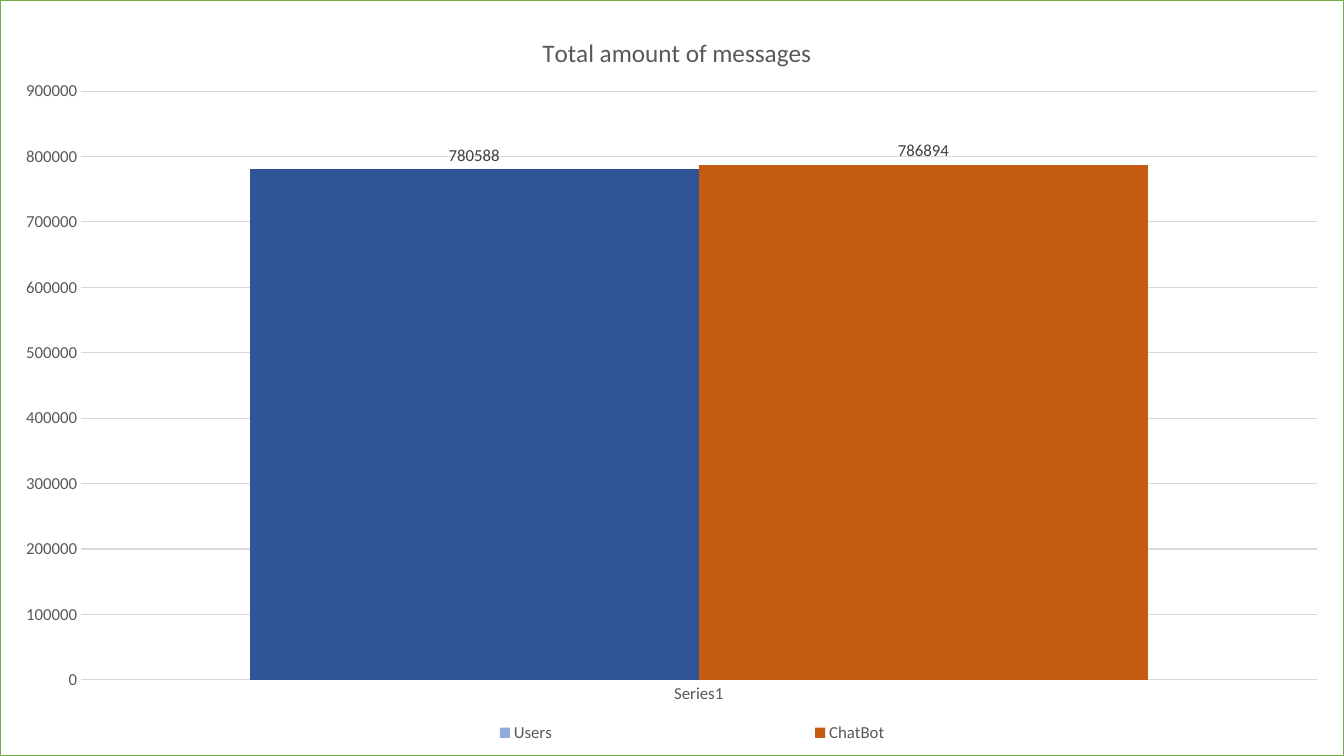
import pptx
import pptx.chart.data
import pptx.dml.color
import pptx.enum.chart
import pptx.oxml
import pptx.oxml.ns
import pptx.util
from dataclasses import dataclass


@dataclass(frozen=True)
class Theme:
    font: str = "Calibri"
    title_size: int = 18
    label_size: int = 12
    hairline: float = 0.75
    paper: str = "FFFFFF"
    border: str = "70AD47"
    grid: str = "D9D9D9"
    muted: str = "595959"
    value: str = "404040"
    users: str = "8FAADC"
    users_bar: str = "2F5597"
    bot: str = "C55A11"


class SlideBuilder:
    def __init__(self, deck, theme):
        self.deck = deck
        self.theme = theme
        self.slide = deck.slides.add_slide(deck.slide_layouts[6])

    def style_font(self, font, size, color):
        font.name = self.theme.font
        font.size = pptx.util.Pt(size)
        font.bold = False
        font.color.rgb = pptx.dml.color.RGBColor.from_string(color)

    def paint(self, fill, color):
        fill.solid()
        fill.fore_color.rgb = pptx.dml.color.RGBColor.from_string(color)

    def style_line(self, line):
        self.paint(line.fill, self.theme.grid)
        line.width = pptx.util.Pt(self.theme.hairline)

    def place(self, chart, part, index, **shares):
        owner = chart._chartSpace.xpath(f"c:chart/{part}")[0]
        for old in owner.xpath("c:layout"):
            owner.remove(old)
        target = '<c:layoutTarget val="inner"/>' if part == "c:plotArea" else ""
        modes = "".join(f'<c:{side}Mode val="edge"/>' for side in "xy")
        values = "".join(f'<c:{key} val="{share}"/>' for key, share in shares.items())
        owner.insert(index, pptx.oxml.parse_xml(
            f'<c:layout {pptx.oxml.ns.nsdecls("c")}><c:manualLayout>'
            f'{target}{modes}{values}</c:manualLayout></c:layout>'))

    def frame(self, chart):
        width = pptx.util.Pt(self.theme.hairline)
        chart._chartSpace.xpath("c:chart")[0].addnext(pptx.oxml.parse_xml(
            f'<c:spPr {pptx.oxml.ns.nsdecls("c", "a")}>'
            f'<a:solidFill><a:srgbClr val="{self.theme.paper}"/></a:solidFill>'
            f'<a:ln w="{width}"><a:solidFill><a:srgbClr val="{self.theme.border}"/>'
            '</a:solidFill></a:ln></c:spPr>'))

    def column_chart(self, left, top, width, height, category, totals):
        data = pptx.chart.data.CategoryChartData(number_format="General")
        data.categories = [category]
        for name, total, *_ in totals:
            data.add_series(name, [total])
        wide, high = self.deck.slide_width, self.deck.slide_height
        chart = self.slide.shapes.add_chart(
            pptx.enum.chart.XL_CHART_TYPE.COLUMN_CLUSTERED,
            int(left * wide), int(top * high), int(width * wide), int(height * high),
            data).chart
        self.style_font(chart.font, self.theme.label_size, self.theme.muted)
        self.frame(chart)
        plot = chart.plots[0]
        plot.gap_width = 75
        plot.overlap = 0
        plot.vary_by_categories = False
        for series, (_, _, key_color, bar_color) in zip(plot.series, totals):
            self.paint(series.format.fill, key_color)
            if bar_color != key_color:
                self.paint(series.points[0].format.fill, bar_color)
            labels = series.data_labels
            labels.show_value = True
            labels.position = pptx.enum.chart.XL_LABEL_POSITION.OUTSIDE_END
            self.style_font(labels.font, self.theme.label_size, self.theme.value)
        self.axes(chart)
        return chart

    def axes(self, chart):
        for axis in (chart.category_axis, chart.value_axis):
            axis.major_tick_mark = pptx.enum.chart.XL_TICK_MARK.NONE
            axis.minor_tick_mark = pptx.enum.chart.XL_TICK_MARK.NONE
            self.style_font(axis.tick_labels.font, self.theme.label_size, self.theme.muted)
        self.style_line(chart.category_axis.format.line)
        amounts = chart.value_axis
        amounts.minimum_scale = 0
        amounts.format.line.fill.background()
        amounts.has_major_gridlines = True
        self.style_line(amounts.major_gridlines.format.line)

    def chart_title(self, chart, text):
        chart.has_title = True
        heading = chart.chart_title.text_frame.paragraphs[0].add_run()
        heading.text = text
        self.style_font(heading.font, self.theme.title_size, self.theme.muted)
        chart.chart_title.include_in_layout = False

    def legend(self, chart):
        chart.has_legend = True
        chart.legend.position = pptx.enum.chart.XL_LEGEND_POSITION.BOTTOM
        chart.legend.include_in_layout = False
        self.style_font(chart.legend.font, self.theme.label_size, self.theme.muted)


theme = Theme()
deck = pptx.Presentation()
deck.slide_width = pptx.util.Inches(13.33)
deck.slide_height = pptx.util.Inches(7.5)

builder = SlideBuilder(deck, theme)
messages = builder.column_chart(0, 0, 1, 1, "Series1", [
    ("Users", 780588, theme.users, theme.users_bar),
    ("ChatBot", 786894, theme.bot, theme.bot),
])
builder.chart_title(messages, "Total amount of messages")
builder.legend(messages)
builder.place(messages, "c:title", 1, x=0.4, y=0.04)
builder.place(messages, "c:plotArea", 0, x=0.06, y=0.12, w=0.92, h=0.78)
builder.place(messages, "c:legend", 1, x=0.18, y=0.95, w=0.67, h=0.04)

deck.save("out.pptx")
